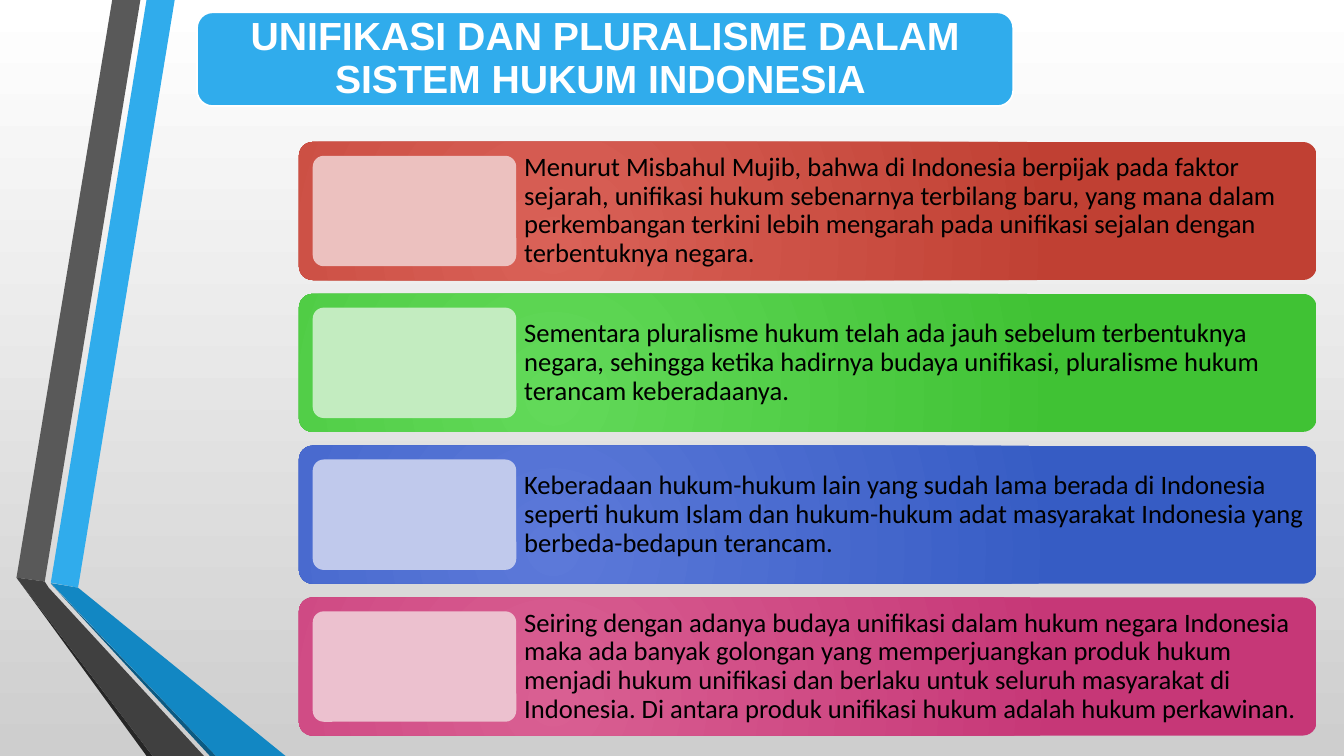
import pptx
import pptx.dml.color
import pptx.enum.shapes
import pptx.enum.text
import pptx.oxml
import pptx.oxml.ns
import pptx.util

Pt = pptx.util.Pt

TITLE = "UNIFIKASI DAN PLURALISME DALAM SISTEM HUKUM INDONESIA "

# Gradient centre, gradient edge, side panel, text
ROWS = [
    ("D96157", "C04033", "ECC1BF",
     "Menurut Misbahul Mujib, bahwa di Indonesia berpijak pada faktor sejarah, "
     "unifikasi hukum sebenarnya terbilang baru, yang mana dalam perkembangan "
     "terkini lebih mengarah pada unifikasi sejalan dengan terbentuknya negara."),
    ("62D959", "40C234", "C3ECC0",
     "Sementara pluralisme hukum telah ada jauh sebelum terbentuknya negara, "
     "sehingga ketika hadirnya budaya unifikasi, pluralisme hukum terancam "
     "keberadaanya."),
    ("5C79D9", "365CC4", "C0C9EC",
     "Keberadaan hukum-hukum lain yang sudah lama berada di Indonesia seperti "
     "hukum Islam dan hukum-hukum adat masyarakat Indonesia yang "
     "berbeda-bedapun terancam."),
    ("D95F92", "C63777", "ECC1CF",
     "Seiring dengan adanya budaya unifikasi dalam hukum negara Indonesia maka "
     "ada banyak golongan yang memperjuangkan produk hukum menjadi hukum "
     "unifikasi dan berlaku untuk seluruh masyarakat di Indonesia. Di antara "
     "produk unifikasi hukum adalah hukum perkawinan."),
]

# Ribbon pieces: colour and corners, in points from the ribbon's top left
RIBBONS = [
    ("30ACEC", [(24.5, 416.2), (44, 419.8), (113, 0), (92.9, 0)]),
    ("595959", [(88.5, 0), (68.4, 0), (0, 412.6), (20.2, 415.4)]),
    ("262626", [(0, 412.6), (92.9, 540), (97.2, 540)]),
    ("0C5A82", [(24.5, 416.9), (138.2, 540), (142.6, 540)]),
    ("1287C3", [(24.5, 416.5), (142.6, 540), (192.2, 540), (44, 419.8)]),
    ("404040", [(133.9, 540), (23, 419.8), (20.2, 415.4), (0, 412.6), (97.2, 540)]),
]


def color(value):
    return pptx.dml.color.RGBColor.from_string(value)


def paint(shape, fill):
    shape.shadow.inherit = False
    shape.fill.solid()
    shape.fill.fore_color.rgb = color(fill)
    shape.line.fill.background()


def set_gradient(fill, colors):
    fill.gradient()
    for stop, value in zip(fill.gradient_stops, colors):
        stop.color.rgb = color(value)


def make_radial(shape):
    """Turn the shape's linear gradient into a circular one."""
    gradient = shape._element.spPr.find(pptx.oxml.ns.qn("a:gradFill"))
    gradient.remove(gradient.find(pptx.oxml.ns.qn("a:lin")))
    gradient.append(pptx.oxml.parse_xml(
        f'<a:path {pptx.oxml.ns.nsdecls("a")} path="circle">'
        '<a:fillToRect l="50000" t="100000" r="100000" b="50000"/></a:path>'))


def add_card(page, left, top, width, height, fill, rounding=0.1):
    card = page.shapes.add_shape(
        pptx.enum.shapes.MSO_SHAPE.ROUNDED_RECTANGLE,
        Pt(left), Pt(top), Pt(width), Pt(height))
    card.adjustments[0] = rounding
    paint(card, fill)
    return card


def format_text(shape, text, inset, size, font, text_color, bold, align):
    frame = shape.text_frame
    frame.text = text
    frame.word_wrap = True
    frame.auto_size = pptx.enum.text.MSO_AUTO_SIZE.NONE
    frame.vertical_anchor = pptx.enum.text.MSO_ANCHOR.MIDDLE
    frame.margin_left = frame.margin_right = Pt(inset)
    frame.margin_top = frame.margin_bottom = Pt(inset)
    para = frame.paragraphs[0]
    para.alignment = align
    para.line_spacing = 0.9
    para.space_before = Pt(0)
    for span in para.runs:
        span.font.size = Pt(size)
        span.font.name = font
        span.font.bold = bold
        span.font.color.rgb = color(text_color)


def add_ribbons(page, left, top):
    for fill, corners in RIBBONS:
        points = [(Pt(left + x), Pt(top + y)) for x, y in corners]
        builder = page.shapes.build_freeform(*points[0])
        builder.add_line_segments(points[1:], close=True)
        paint(builder.convert_to_shape(), fill)


def add_title(page, left, top, width, height):
    card = add_card(page, left, top, width, height, "30ACEC", 0.167)
    card.line.color.rgb = color("FFFFFF")
    card.line.width = Pt(1.25)
    title = page.shapes.title
    title.left, title.top = Pt(left), Pt(top)
    title.width, title.height = Pt(width), Pt(height)
    format_text(title, TITLE, 8.4, 28, "Arial", "FFFFFF", True,
                pptx.enum.text.PP_ALIGN.CENTER)
    page.shapes._spTree.append(title._element)  # bring in front of the card


def add_row(page, left, top, width, height, row):
    center, edge, panel_fill, text = row
    pad = height / 10
    panel_width = width / 5
    card = add_card(page, left, top, width, height, edge)
    set_gradient(card.fill, (center, edge))
    make_radial(card)
    text_left = pad + panel_width
    box = page.shapes.add_textbox(
        Pt(left + text_left), Pt(top), Pt(width - text_left), Pt(height))
    format_text(box, text, 5.7, 19, "Calibri", "000000", False,
                pptx.enum.text.PP_ALIGN.LEFT)
    add_card(page, left + pad, top + pad, panel_width, height - 2 * pad, panel_fill)


def add_rows(page, left, top, width, height):
    # Four rows with gaps of a tenth of a row
    row_height = height / (len(ROWS) + 0.1 * (len(ROWS) - 1))
    for index, row in enumerate(ROWS):
        add_row(page, left, top + index * 1.1 * row_height, width, row_height, row)


def main():
    deck = pptx.Presentation()
    deck.slide_width, deck.slide_height = Pt(960), Pt(540)
    page = deck.slides.add_slide(deck.slide_layouts.get_by_name("Title Only"))
    background = page.background.fill
    set_gradient(background, ("FFFFFF", "CECECE"))
    background.gradient_angle = 270
    add_ribbons(page, 11.8, 0)
    add_title(page, 140.7, 8.8, 583, 67)
    add_rows(page, 213.5, 101.4, 727, 424)
    deck.save("out.pptx")


if __name__ == "__main__":
    main()
